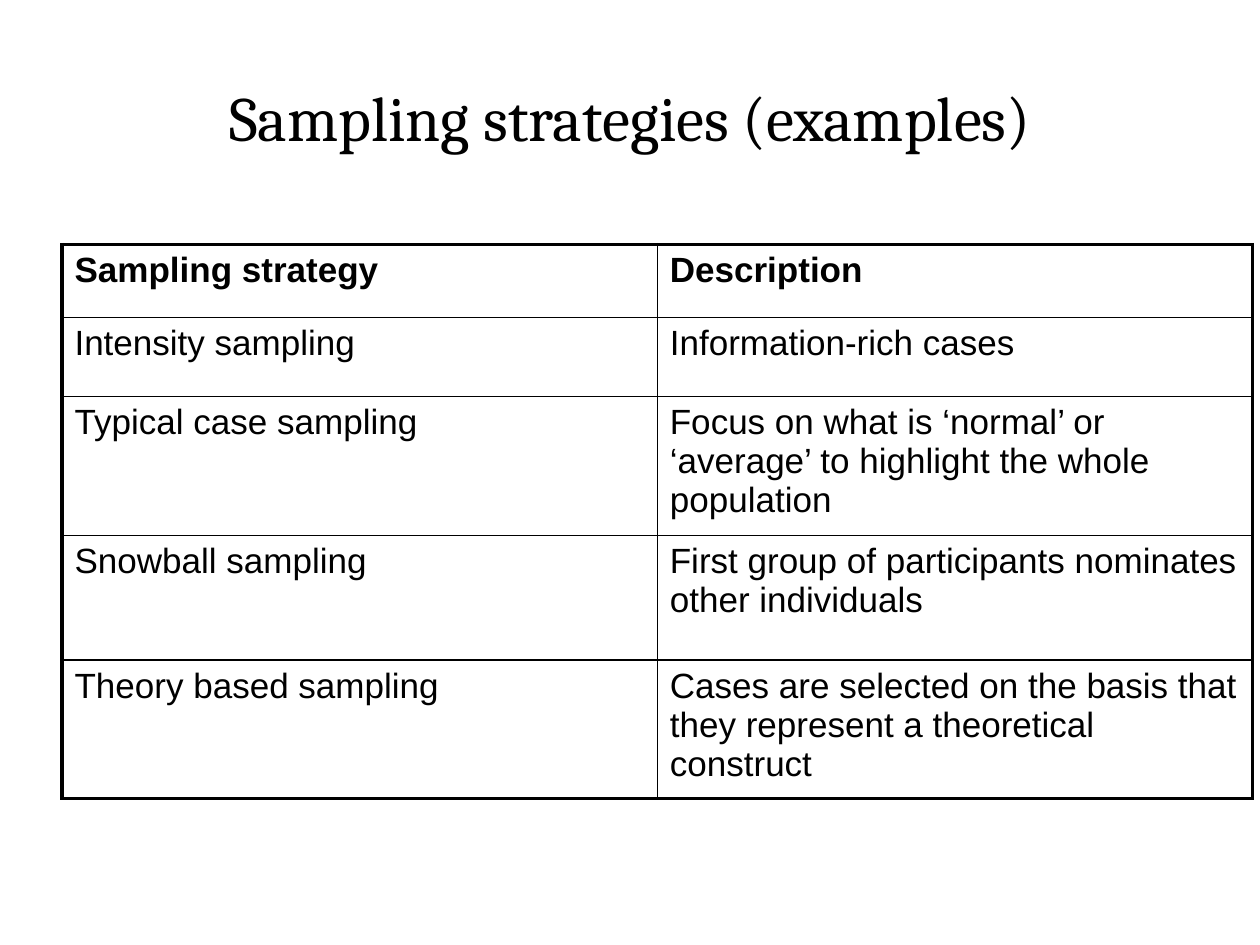
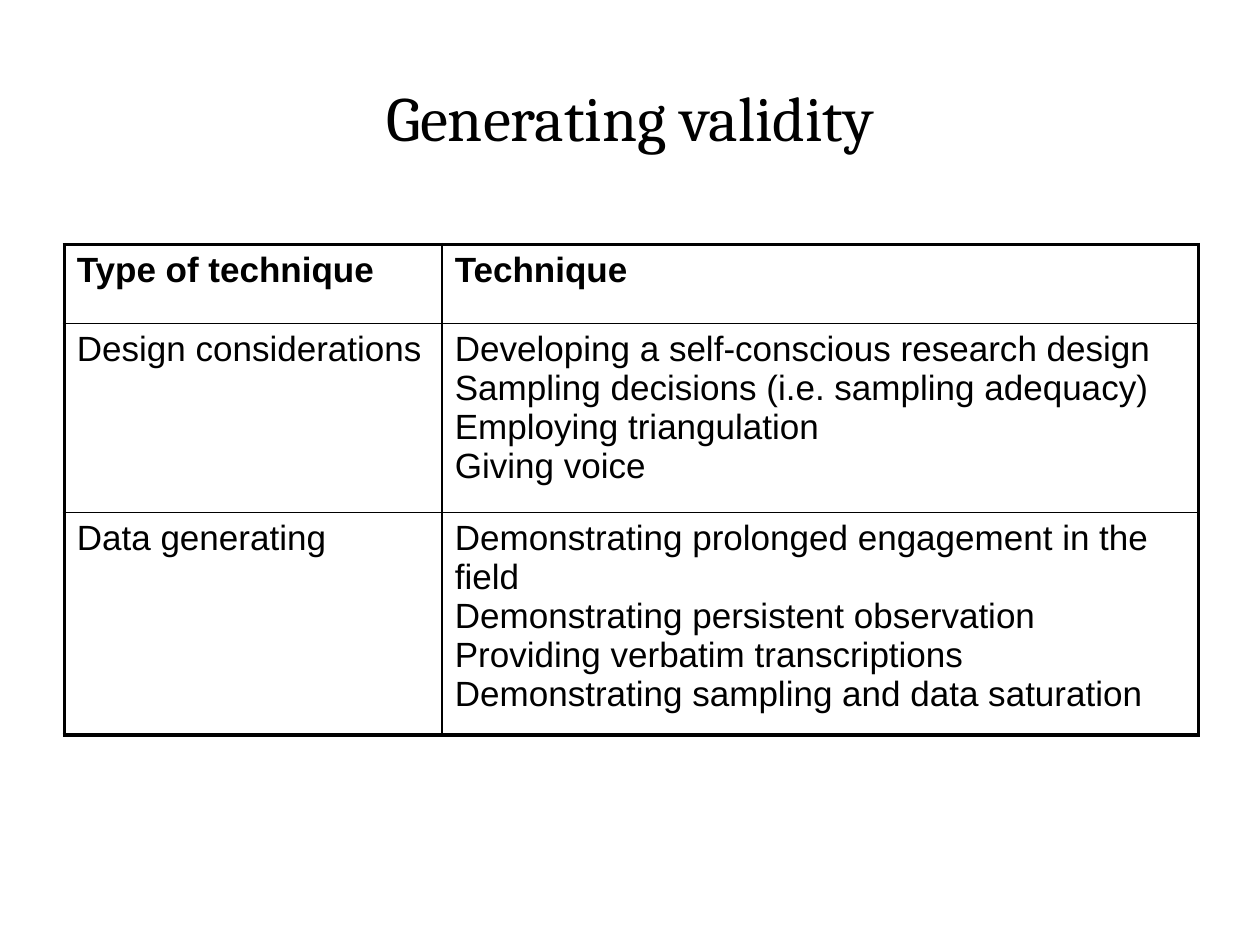
from lxml import etree
from pptx import Presentation
from pptx.dml.color import RGBColor
from pptx.enum.text import MSO_ANCHOR, PP_ALIGN
from pptx.oxml.ns import qn
from pptx.util import Pt

CENTER = PP_ALIGN.CENTER
LEFT = PP_ALIGN.LEFT
MIDDLE = MSO_ANCHOR.MIDDLE
TOP = MSO_ANCHOR.TOP
TITLE_ONLY = 5

COLORS = {"text": "000000", "line": "000000"}
HEAD_FONT = "Cambria"
BODY_FONT = "Arial"
THICK = 2.25
THIN = 1
TABLE_TOP = 139.7

SAMPLING = [
    ("Sampling strategy", "Description"),
    ("Intensity sampling", "Information-rich cases"),
    ("Typical case sampling",
     "Focus on what is ‘normal’ or ‘average’ to highlight the whole population"),
    ("Snowball sampling",
     "First group of participants nominates other individuals"),
    ("Theory based sampling",
     "Cases are selected on the basis that they represent a theoretical construct"),
]
VALIDITY = [
    ("Type of technique", "Technique"),
    ("Design considerations",
     "Developing a self-conscious research design\n"
     "Sampling decisions (i.e. sampling adequacy)\n"
     "Employing triangulation\n"
     "Giving voice"),
    ("Data generating",
     "Demonstrating prolonged engagement in the field\n"
     "Demonstrating persistent observation\n"
     "Providing verbatim transcriptions\n"
     "Demonstrating sampling and data saturation"),
]


def write(frame, text, font=BODY_FONT, size=20, bold=False, align=LEFT):
    para = frame.paragraphs[0]
    para.text = text.replace("\n", "\v")
    para.alignment = align
    for run in para.runs:
        run.font.name = font
        run.font.size = Pt(size)
        run.font.bold = bold
        run.font.color.rgb = RGBColor.from_string(COLORS["text"])


def add_edge(cell, side, width):
    props = cell._tc.get_or_add_tcPr()
    line = etree.SubElement(props, qn(f"a:ln{side}"), w=str(Pt(width)))
    fill = etree.SubElement(line, qn("a:solidFill"))
    etree.SubElement(fill, qn("a:srgbClr"), val=COLORS["line"])


def add_title(slide, text):
    title = slide.shapes.title
    title.left, title.top = Pt(36), Pt(21.6)
    title.width, title.height = Pt(648), Pt(90)
    title.text_frame.vertical_anchor = MIDDLE
    write(title.text_frame, text, font=HEAD_FONT, size=36, align=CENTER)


def add_grid(slide, data, left, widths, heights):
    table = slide.shapes.add_table(
        len(heights), len(widths), Pt(left), Pt(TABLE_TOP),
        Pt(sum(widths)), Pt(sum(heights))).table
    table.first_row = table.horz_banding = False
    for col, width in zip(table.columns, widths):
        col.width = Pt(width)
    for row, height in zip(table.rows, heights):
        row.height = Pt(height)
    for r, texts in enumerate(data):
        for c, text in enumerate(texts):
            cell = table.cell(r, c)
            cell.margin_left = cell.margin_right = Pt(7.2)
            cell.margin_top = cell.margin_bottom = Pt(3.6)
            cell.vertical_anchor = TOP
            write(cell.text_frame, text, bold=r == 0)
            outer = {"L": c == 0, "R": c == len(widths) - 1,
                     "T": r == 0, "B": r == len(heights) - 1}
            for side, edge in outer.items():
                add_edge(cell, side, THICK if edge else THIN)
            cell.fill.background()


def add_page(deck, title, data, left, widths, heights):
    slide = deck.slides.add_slide(deck.slide_layouts[TITLE_ONLY])
    add_title(slide, title)
    add_grid(slide, data, left, widths, heights)


def main():
    deck = Presentation()
    deck.slide_width, deck.slide_height = Pt(720), Pt(540)
    add_page(deck, "Sampling strategies (examples)", SAMPLING,
             35.4, [340.2] * 2, [41.7, 45.3, 79.2, 71.3, 79.2])
    add_page(deck, "Generating validity", VALIDITY,
             36.7, [216, 432], [45.3, 107.8, 127.2])
    deck.save("out.pptx")


if __name__ == "__main__":
    main()
